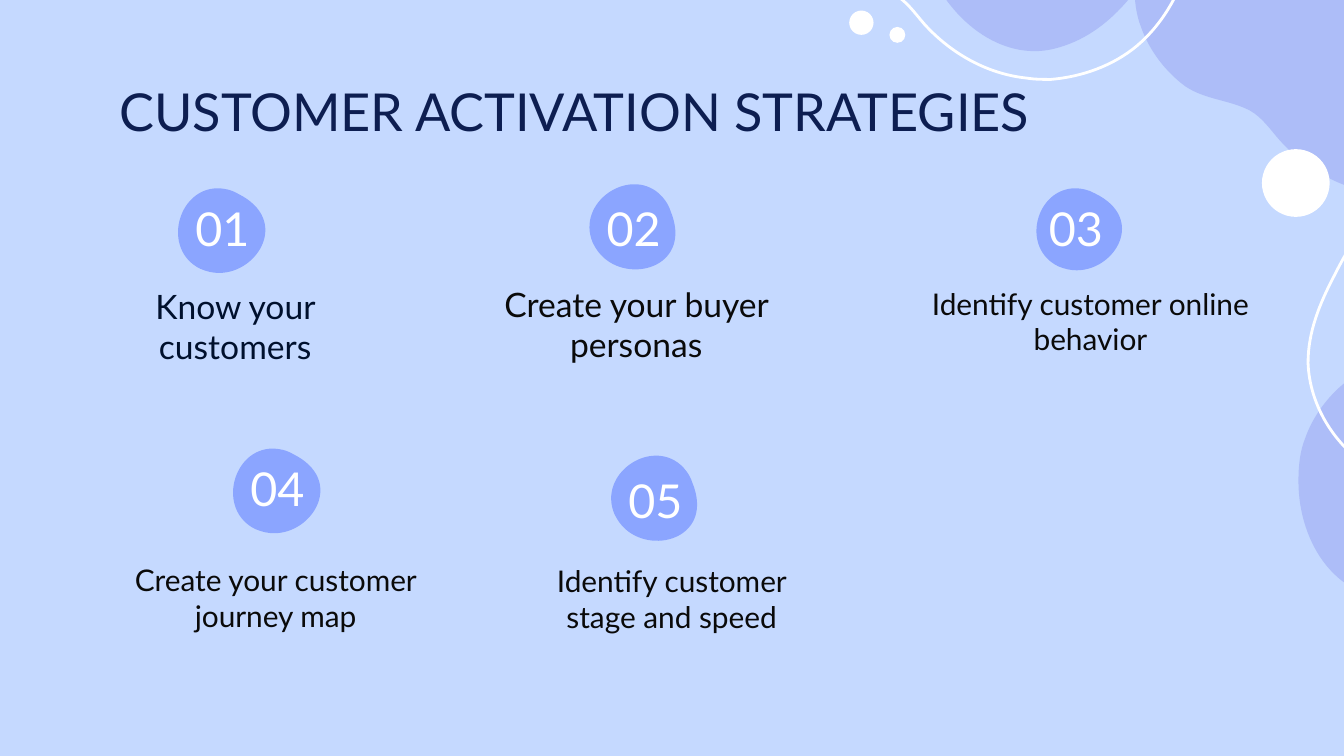
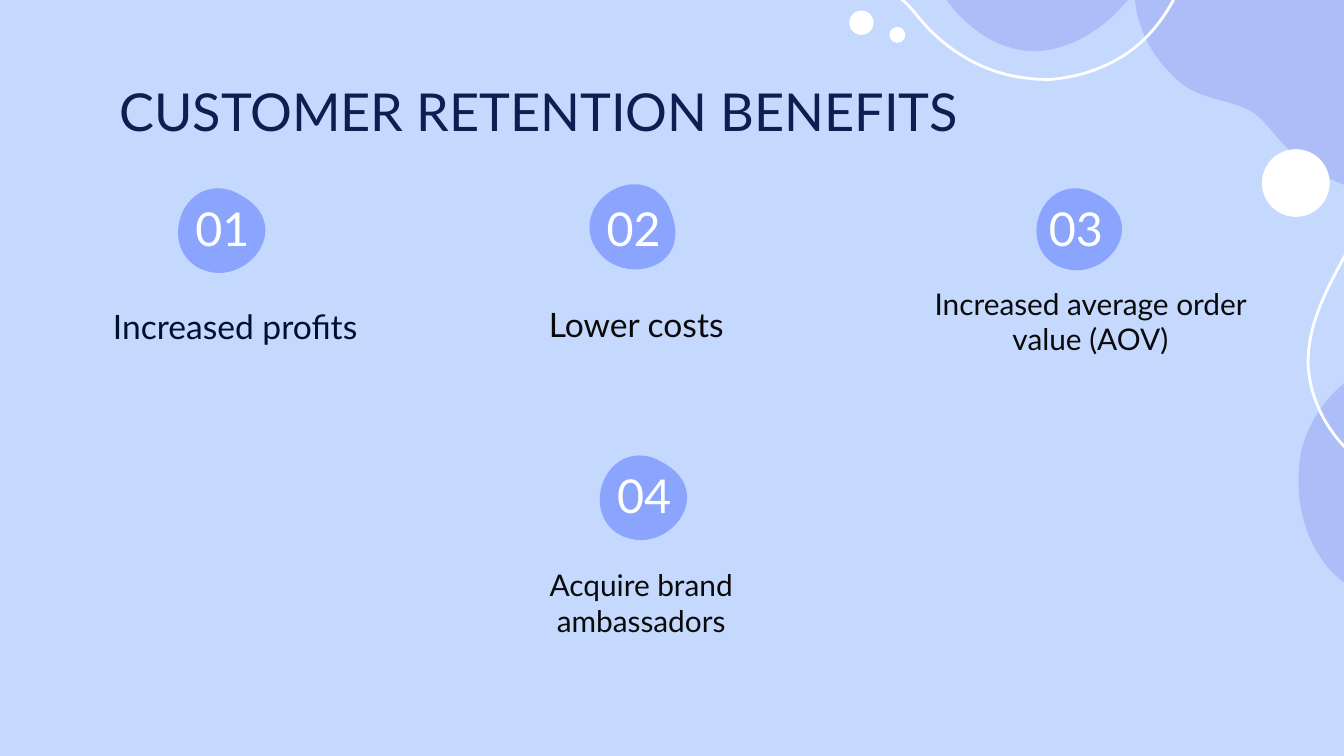
from lxml import etree
from pptx import Presentation
from pptx.dml.color import RGBColor
from pptx.enum.shapes import MSO_SHAPE
from pptx.enum.text import MSO_ANCHOR, MSO_AUTO_SIZE, PP_ALIGN
from pptx.oxml.ns import qn
from pptx.util import Cm, Pt

OVAL = MSO_SHAPE.OVAL
TOP, MIDDLE = MSO_ANCHOR.TOP, MSO_ANCHOR.MIDDLE
LEFT, CENTER = PP_ALIGN.LEFT, PP_ALIGN.CENTER
NO_AUTOFIT = MSO_AUTO_SIZE.NONE

FONT = "Lato"
COLORS = {
    "background": "C5D9FF",
    "wave": "ADBDF8",
    "badge": "8BA5FF",
    "white": "FFFFFF",
    "title": "0D1E51",
    "navy": "00102D",
    "ink": "0A0A0A",
}

BADGE_CURVE = [
    (42, 0), (12, 0), (0, 45), (29, 59), (34, 61), (38, 62), (43, 62),
    (72, 62), (96, 23), (57, 4), (52, 1), (46, 0), (42, 0),
]
ARCH_CURVE = [
    (282, 0), (228, 0), (177, 29), (177, 29), (148, 19), (122, 14), (101, 15),
    (34, 14), (0, 54), (8, 103), (17, 165), (86, 233), (169, 233),
    (173, 233), (178, 232), (182, 233), (367, 217), (406, 61), (342, 17),
    (323, 4), (302, 0), (282, 0),
]
WAVE_CURVE = [
    (157, 0), (203, 0), (249, 29), (244, 79), (243, 93), (253, 104), (266, 105),
    (314, 106), (356, 143), (365, 190), (370, 220), (361, 253), (339, 275),
    (322, 291), (300, 299), (278, 305), (247, 314), (215, 318), (183, 318),
    (169, 318), (155, 317), (141, 315), (98, 311), (53, 299), (25, 266),
    (10, 248), (2, 225), (0, 202), (0, 196), (0, 190), (1, 184),
    (4, 155), (19, 128), (41, 108), (49, 101), (58, 95), (63, 86),
    (71, 71), (71, 53), (81, 38), (92, 23), (108, 11), (125, 5),
    (135, 1), (146, 0), (157, 0),
]

WAVE_SIZE = (9.4, 8.08)
BADGE_SIZE = (2.44, 1.6)
SMALL_BADGE_SIZE = (2.39, 1.55)
TILT = 41.2

FIRST = {"badge": (3.05, 3.56), "caption": (1.37, 5.18, 6.15, 1.98),
         "size": 18, "color": "navy"}
SECOND = {"badge": (10.82, 3.56), "caption": (8.71, 5.18, 6.63, 1.88),
          "size": 18, "angle": TILT}
THIRD = {"badge": (19.28, 3.56), "caption": (16.97, 5.08, 10.03, 1.98),
         "badge_size": SMALL_BADGE_SIZE, "number_shift": 0.13, "right_inset": 3}
LOWER_LEFT = {"badge": (4.09, 8.48), "caption": (2.01, 10.11, 6.15, 2.36),
              "right_inset": 0}
LOWER_MIDDLE = {"badge": (11.23, 8.69), "caption": (9.8, 10.52, 5.79, 1.6),
                "angle": TILT}
LOWER_CENTER = {"badge": (11.02, 8.61), "caption": (8.92, 10.21, 6.15, 2.36),
                "right_inset": 0}

SLIDES = [
    ("CUSTOMER ACTIVATION STRATEGIES", [
        ("Know your customers", FIRST),
        ("Create your buyer personas", SECOND),
        ("Identify customer online behavior", THIRD),
        ("Create your customer journey map", LOWER_LEFT),
        ("Identify customer stage and speed", LOWER_MIDDLE),
    ]),
    ("CUSTOMER RETENTION BENEFITS", [
        ("Increased profits", FIRST),
        ("Lower costs", SECOND),
        ("Increased average order value (AOV)", THIRD),
        ("Acquire brand ambassadors", LOWER_CENTER),
    ]),
]


def color(name):
    return RGBColor.from_string(COLORS[name])


class Deck:
    def __init__(self):
        self.presentation = Presentation()
        self.presentation.slide_width = Cm(25.4)
        self.presentation.slide_height = Cm(14.29)
        self.layout = self.presentation.slide_layouts[5]
        self.slide = None
        background = self.layout.background.fill
        background.solid()
        background.fore_color.rgb = color("background")
        for placeholder in list(self.layout.placeholders)[1:]:
            self.layout.shapes.element.remove(placeholder.element)

    def add_slide(self, title):
        self.slide = self.presentation.slides.add_slide(self.layout)
        shape = self.slide.shapes.title
        self.place(shape, 2.01, 1.24, 21.41, 1.6)
        self.set_text(shape, title, 28, "title", LEFT, TOP)

    def place(self, shape, left, top, width, height):
        shape.left, shape.top = Cm(left), Cm(top)
        shape.width, shape.height = Cm(width), Cm(height)

    def set_text(self, shape, text, size, color_name, alignment=CENTER,
                 anchor=MIDDLE, right_inset=0.25):
        frame = shape.text_frame
        frame.text = text
        frame.word_wrap = True
        frame.auto_size = NO_AUTOFIT
        frame.vertical_anchor = anchor
        frame.margin_left = frame.margin_top = frame.margin_bottom = Cm(0.25)
        frame.margin_right = Cm(right_inset)
        paragraph = frame.paragraphs[0]
        paragraph.alignment = alignment
        font = paragraph.runs[0].font
        font.name = FONT
        font.size = Pt(size)
        font.color.rgb = color(color_name)

    def text(self, box, text, size, color_name, right_inset=0.25):
        shape = self.slide.shapes.add_textbox(*map(Cm, box))
        self.set_text(shape, text, size, color_name, right_inset=right_inset)

    def paint(self, shape, fill=None, line=None):
        shape.shadow.inherit = False
        if fill:
            shape.fill.solid()
            shape.fill.fore_color.rgb = color(fill)
        else:
            shape.fill.background()
        if line:
            shape.line.color.rgb = color(line)
            shape.line.width = Pt(1.5)
        else:
            shape.line.fill.background()

    def dot(self, left, top, size):
        shape = self.slide.shapes.add_shape(OVAL, *map(Cm, (left, top, size, size)))
        self.paint(shape, "white")

    def curve(self, points, position, size, angle=0, flip=False, **style):
        builder = self.slide.shapes.build_freeform(*points[0], scale=Cm(0.0254))
        builder.add_line_segments(points[1:], close=True)
        shape = builder.convert_to_shape()
        outline = shape.element.find(".//" + qn("a:path"))
        segments = outline.findall(qn("a:lnTo"))
        for start in range(0, len(segments), 3):
            bezier = etree.Element(qn("a:cubicBezTo"))
            segments[start].addprevious(bezier)
            for segment in segments[start:start + 3]:
                bezier.append(segment[0])
                outline.remove(segment)
        self.place(shape, *position, *size)
        shape.rotation = angle
        if flip:
            shape.element.spPr.find(qn("a:xfrm")).set("flipH", "1")
        self.paint(shape, **style)

    def decorate_layout(self):
        self.curve(ARCH_CURVE, (15.24, -6.35), (10.31, 5.92), 132.1, fill="wave")
        self.curve(WAVE_CURVE, (23.88, 5.77), WAVE_SIZE, 270, True, fill="wave")
        self.curve(WAVE_CURVE, (20.78, -5.05), WAVE_SIZE, 270, fill="wave")
        self.dot(16.81, 0.51, 0.3)
        self.dot(16.05, 0.2, 0.46)
        self.curve(WAVE_CURVE, (24.84, 1.96), WAVE_SIZE, 132.8, line="white")
        self.dot(23.85, 2.82, 1.28)
        self.curve(WAVE_CURVE, (14.07, -7.24), WAVE_SIZE, 270, line="white")
        for shape in list(self.slide.shapes):
            if not shape.is_placeholder:
                self.layout.shapes.element.append(shape.element)

    def item(self, number, caption, spot):
        left, top = spot["badge"]
        self.curve(BADGE_CURVE, (left, top), spot.get("badge_size", BADGE_SIZE),
                   spot.get("angle", 0), fill="badge")
        number_left = left + spot.get("number_shift", 0.23)
        self.text((number_left, top + 0.13, 1.85, 1.24), f"{number:02}", 25, "white")
        self.text(spot["caption"], caption, spot.get("size", 16),
                  spot.get("color", "ink"), spot.get("right_inset", 0.25))


def main():
    deck = Deck()
    for index, (title, items) in enumerate(SLIDES):
        deck.add_slide(title)
        if index == 0:
            deck.decorate_layout()
        for number, (caption, spot) in enumerate(items, 1):
            deck.item(number, caption, spot)
    deck.presentation.save("out.pptx")


if __name__ == "__main__":
    main()
